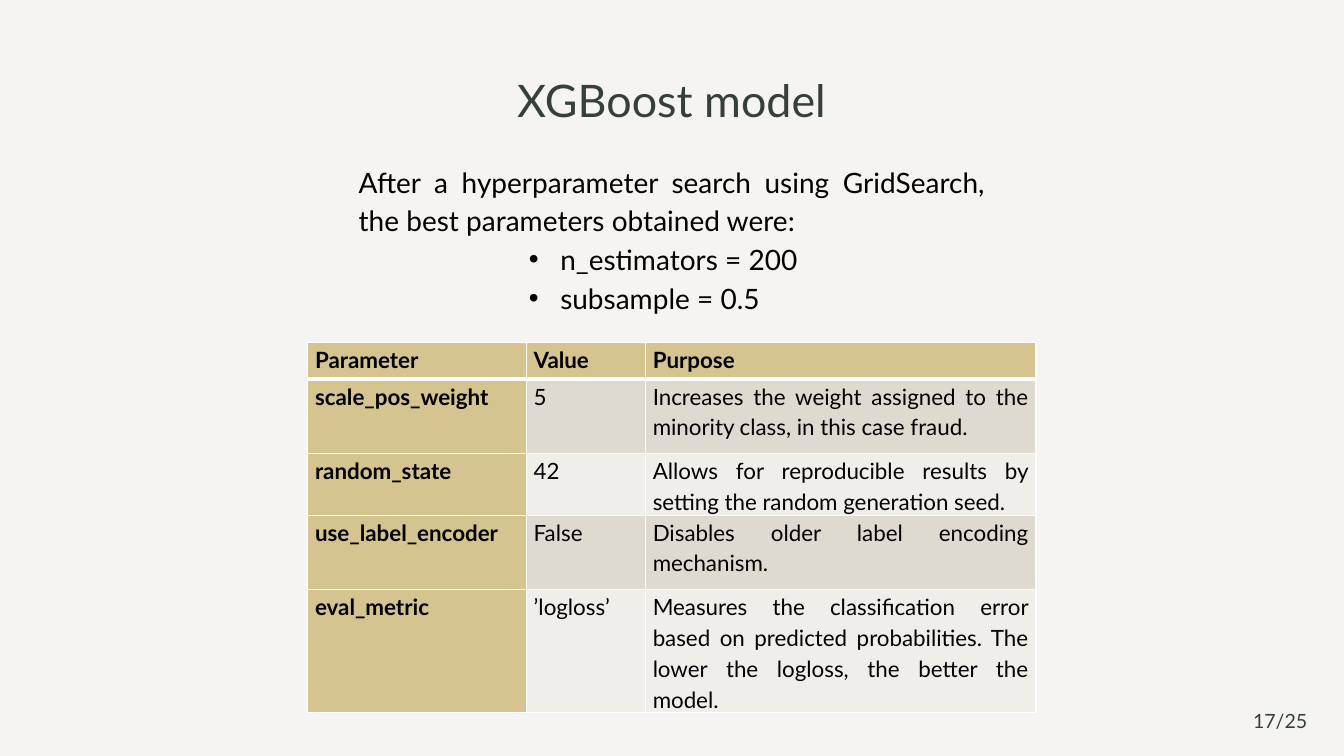
from typing import NamedTuple

from lxml import etree
from pptx import Presentation
from pptx.dml.color import RGBColor
from pptx.enum import text
from pptx.oxml import ns
from pptx.util import Cm, Pt

COLORS = {
    "background": "F6F4F2",
    "heading": "35403A",
    "body": "000000",
    "gold": "D5C490",
    "dark_band": "DFDAD0",
    "light_band": "F0EEE9",
    "border": "FFFFFF",
}
FONT = "Lato"


class Frame(NamedTuple):
    left: float
    top: float
    width: float
    height: float

    def lengths(self) -> list:
        return [Cm(value) for value in self]


class ParameterRow(NamedTuple):
    parameter: str
    value: str
    purpose: str


TITLE_FRAME = Frame(2.41, 1.63, 29.03, 1.68)
INTRO_FRAME = Frame(8.79, 3.91, 16.28, 4.14)
TABLE_FRAME = Frame(7.75, 8.64, 18.36, 7.46)
NUMBER_FRAME = Frame(31.04, 17.65, 2.16, 1.02)
COLUMN_WIDTHS = (5.51, 3.0, 9.85)
ROW_HEIGHTS = (0.91, 1.88, 0.91, 1.88, 1.88)

INTRO = "After a hyperparameter search using GridSearch, the best parameters obtained were:"
BEST_PARAMETERS = ("n_estimators = 200", "subsample = 0.5")
ROWS = (
    ParameterRow("Parameter", "Value", "Purpose"),
    ParameterRow("scale_pos_weight", "5",
                 "Increases the weight assigned to the minority class, in this case fraud."),
    ParameterRow("random_state", "42",
                 "Allows for reproducible results by setting the random generation seed."),
    ParameterRow("use_label_encoder", "False", "Disables older label encoding mechanism."),
    ParameterRow("eval_metric", "’logloss’",
                 "Measures the classification error based on predicted probabilities. "
                 "The lower the logloss, the better the model."),
)


def rgb(name: str) -> RGBColor:
    return RGBColor.from_string(COLORS[name])


def format_paragraph(para, size: int, color: str, alignment, bold: bool = False) -> None:
    para.alignment = alignment
    para.font.name = FONT
    para.font.size = Pt(size)
    para.font.bold = bold
    para.font.color.rgb = rgb(color)


def add_bullet(para) -> None:
    properties = para._p.get_or_add_pPr()
    properties.set("marL", str(Cm(5.08)))
    properties.set("indent", str(Cm(-0.79)))
    font = etree.SubElement(properties, ns.qn("a:buFont"))
    font.set("typeface", "Arial")
    bullet = etree.SubElement(properties, ns.qn("a:buChar"))
    bullet.set("char", "•")


def add_borders(cell, bottom_width: int) -> None:
    properties = cell._tc.get_or_add_tcPr()
    for side, width in (("L", 1), ("R", 1), ("T", 1), ("B", bottom_width)):
        line = etree.SubElement(properties, ns.qn(f"a:ln{side}"))
        line.set("w", str(Pt(width)))
        fill = etree.SubElement(line, ns.qn("a:solidFill"))
        etree.SubElement(fill, ns.qn("a:srgbClr")).set("val", COLORS["border"])


def add_title(page) -> None:
    title = page.shapes.title
    title.left, title.top, title.width, title.height = TITLE_FRAME.lengths()
    title.text_frame.text = "XGBoost model"
    title.text_frame.vertical_anchor = text.MSO_ANCHOR.BOTTOM
    format_paragraph(title.text_frame.paragraphs[0], 32, "heading", text.PP_ALIGN.CENTER)


def add_intro(page) -> None:
    box = page.shapes.add_textbox(*INTRO_FRAME.lengths())
    box.text_frame.word_wrap = True
    box.text_frame.text = "\n".join((INTRO, *BEST_PARAMETERS))
    for index, para in enumerate(box.text_frame.paragraphs):
        para.line_spacing = 1.15
        if index > 0:
            add_bullet(para)
        format_paragraph(para, 20, "body", text.PP_ALIGN.JUSTIFY)


def fill_cell(cell, content: str, row: int, column: int) -> None:
    is_heading = row == 0 or column == 0
    band = "dark_band" if row % 2 else "light_band"
    cell.margin_left = cell.margin_right = Cm(0.19)
    cell.margin_top = cell.margin_bottom = 0
    add_borders(cell, 3 if row == 0 else 1)
    cell.fill.solid()
    cell.fill.fore_color.rgb = rgb("gold" if is_heading else band)
    cell.text = content
    para = cell.text_frame.paragraphs[0]
    para.line_spacing = 1.15
    para.space_after = Pt(8)
    format_paragraph(para, 16, "body", text.PP_ALIGN.JUSTIFY, is_heading)


def add_parameter_table(page) -> None:
    table = page.shapes.add_table(
        len(ROWS), len(COLUMN_WIDTHS), *TABLE_FRAME.lengths()).table
    table.first_col = True
    for column, width in zip(table.columns, COLUMN_WIDTHS):
        column.width = Cm(width)
    for row, height in zip(table.rows, ROW_HEIGHTS):
        row.height = Cm(height)
    for row, entry in enumerate(ROWS):
        for column, content in enumerate(entry):
            fill_cell(table.cell(row, column), content, row, column)


def add_page_number(page) -> None:
    box = page.shapes.add_textbox(*NUMBER_FRAME.lengths())
    box.text_frame.word_wrap = True
    box.text_frame.vertical_anchor = text.MSO_ANCHOR.MIDDLE
    box.text_frame.text = "17/25"
    format_paragraph(box.text_frame.paragraphs[0], 14, "heading", text.PP_ALIGN.RIGHT)


def main() -> None:
    deck = Presentation()
    deck.slide_width, deck.slide_height = Cm(33.87), Cm(19.05)
    page = deck.slides.add_slide(deck.slide_layouts[5])
    page.background.fill.solid()
    page.background.fill.fore_color.rgb = rgb("background")
    add_title(page)
    add_parameter_table(page)
    add_intro(page)
    add_page_number(page)
    deck.save("out.pptx")


if __name__ == "__main__":
    main()
